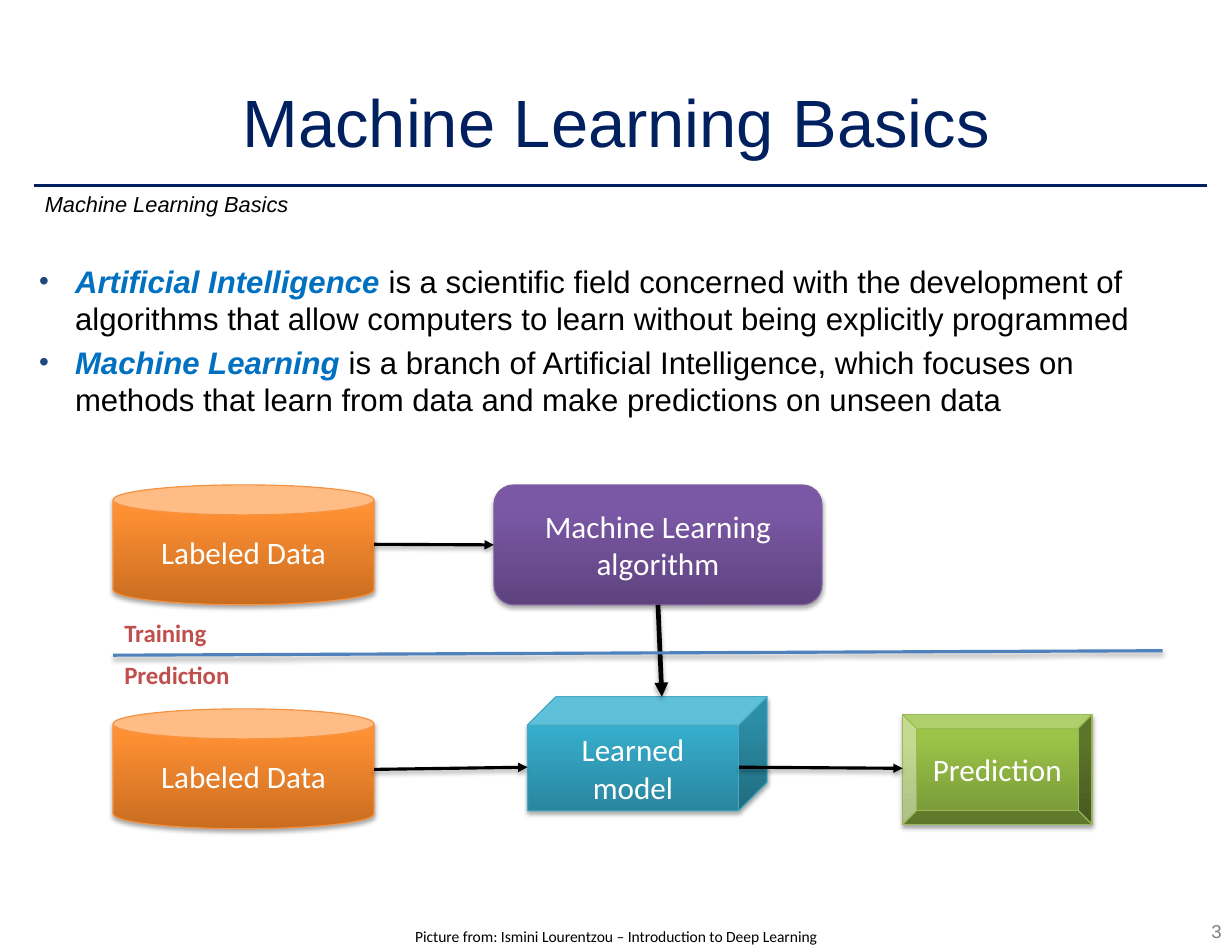
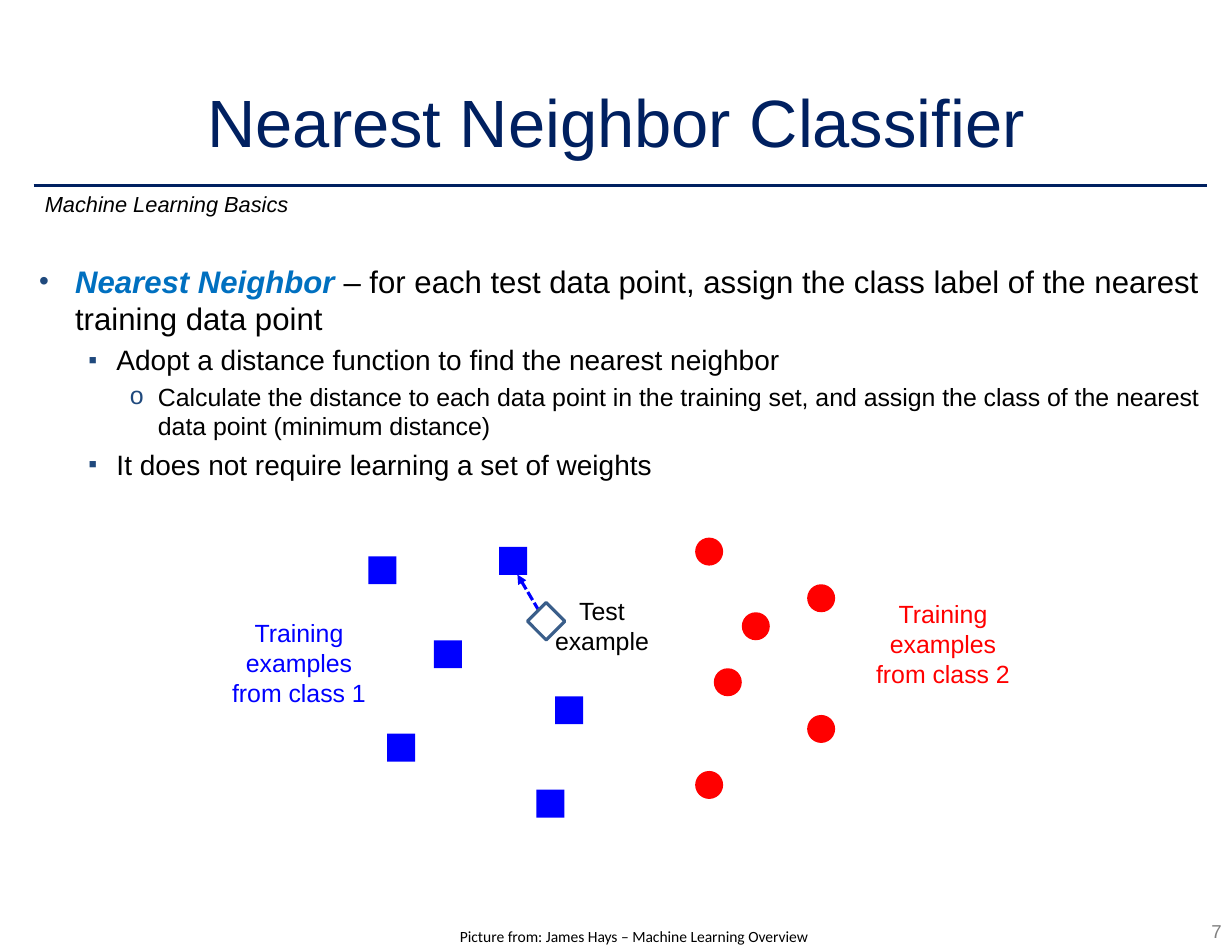
from lxml.etree import SubElement
from pptx import Presentation
from pptx.dml.color import RGBColor
from pptx.enum.dml import MSO_LINE
from pptx.enum.shapes import MSO_CONNECTOR, MSO_SHAPE
from pptx.enum.text import MSO_ANCHOR, MSO_AUTO_SIZE, PP_ALIGN
from pptx.oxml.ns import qn
from pptx.util import Inches, Pt

NAVY = RGBColor(0x00, 0x20, 0x60)
BULLET_BLUE = RGBColor(0x1F, 0x49, 0x7D)
TERM_BLUE = RGBColor(0x00, 0x70, 0xC0)
DIVIDER_BLUE = RGBColor(0x4F, 0x81, 0xBD)
OUTLINE_BLUE = RGBColor(0x3A, 0x5E, 0x8A)
CLASS_1_BLUE = RGBColor(0x00, 0x00, 0xFF)
CLASS_2_RED = RGBColor(0xFF, 0x00, 0x00)
PHASE_RED = RGBColor(0xC0, 0x50, 0x4D)
GRAY = RGBColor(0x80, 0x80, 0x80)
BLACK = RGBColor(0x00, 0x00, 0x00)
WHITE = RGBColor(0xFF, 0xFF, 0xFF)
# Dark end, light end and outline of the flow shapes
ORANGE = (RGBColor(0xC9, 0x6D, 0x20), RGBColor(0xFF, 0x90, 0x34), RGBColor(0xF6, 0x92, 0x40))
PURPLE = (RGBColor(0x5E, 0x43, 0x7E), RGBColor(0x7B, 0x58, 0xA6), RGBColor(0x7D, 0x60, 0xA0))
TEAL = (RGBColor(0x2A, 0x86, 0x9F), RGBColor(0x37, 0xB1, 0xD1), RGBColor(0x46, 0xAA, 0xC4))
GREEN = (RGBColor(0x76, 0x95, 0x37), RGBColor(0x9B, 0xC3, 0x48), RGBColor(0x98, 0xB9, 0x55))

WIDTH, HEIGHT = 11, 8.5
MARGIN = 0.3
RULE_RIGHT = 10.78
RULE_Y = 1.66
INSET = 0.05

# Per level: bullet, bullet size in thousandths of a percent, left, hanging, size, space before
LEVELS = [
    ("•", 90000, 0.32, 0.32, 20, 4),
    ("▪", 90000, 0.69, 0.25, 18, 4),
    ("o", 100000, 1.06, 0.25, 16, 3),
]

# Each bullet: level, emphasised term, remaining text
SLIDES = [
    {
        "title": "Machine Learning Basics",
        "number": "3",
        "credit": "Picture from: Ismini Lourentzou – Introduction to Deep Learning",
        "credit_left": 1.77,
        "bullets": [
            (0, "Artificial Intelligence ",
             "is a scientific field concerned with the development of algorithms "
             "that allow computers to learn without being explicitly programmed"),
            (0, "Machine Learning ",
             "is a branch of Artificial Intelligence, which focuses on methods "
             "that learn from data and make predictions on unseen data"),
        ],
    },
    {
        "title": "Nearest Neighbor Classifier",
        "number": "7",
        "credit": "Picture from: James Hays – Machine Learning Overview",
        "credit_left": 1.93,
        "bullets": [
            (0, "Nearest Neighbor ",
             "– for each test data point, assign the class label of the nearest "
             "training data point"),
            (1, "", "Adopt a distance function to find the nearest neighbor"),
            (2, "", "Calculate the distance to each data point in the training set, "
                    "and assign the class of the nearest data point (minimum distance)"),
            (1, "", "It does not require learning a set of weights"),
        ],
    },
]


def add_text(page, area, text, size, color, font="Arial", align=PP_ALIGN.LEFT,
             bold=False, italic=False, wrap=True):
    box = page.shapes.add_textbox(*map(Inches, area))
    frame = box.text_frame
    frame.word_wrap = wrap
    frame.margin_left = frame.margin_right = Inches(INSET)
    frame.margin_top = frame.margin_bottom = Inches(INSET)
    paragraph = frame.paragraphs[0]
    paragraph.alignment = align
    span = paragraph.add_run()
    span.text = text
    span.font.name, span.font.size = font, Pt(size)
    span.font.bold, span.font.italic = bold, italic
    span.font.color.rgb = color


def add_line(page, start, end, color, width, arrow=False):
    """Add a straight line without shadow, with an arrowhead at its end on request."""
    line = page.shapes.add_connector(MSO_CONNECTOR.STRAIGHT, *map(Inches, start + end))
    line.line.color.rgb = color
    line.line.width = Pt(width)
    properties = line._element.spPr
    if arrow:
        SubElement(properties.find(qn("a:ln")), qn("a:tailEnd"), type="triangle")
    SubElement(properties, qn("a:effectLst"))
    return line


deck = Presentation()
deck.slide_width, deck.slide_height = Inches(WIDTH), Inches(HEIGHT)

# Shared frame and bullets
pages = []
for content in SLIDES:
    page = deck.slides.add_slide(deck.slide_layouts[5])
    pages.append(page)
    add_line(page, (MARGIN, RULE_Y), (RULE_RIGHT, RULE_Y), NAVY, 2)

    title = page.shapes.title
    title.left, title.top = 0, Inches(0.5)
    title.width, title.height = Inches(WIDTH), Inches(1.15)
    frame = title.text_frame
    frame.auto_size = MSO_AUTO_SIZE.NONE
    frame.vertical_anchor = MSO_ANCHOR.MIDDLE
    frame.paragraphs[0].alignment = PP_ALIGN.CENTER
    span = frame.paragraphs[0].add_run()
    span.text = content["title"]
    span.font.name, span.font.size = "Arial", Pt(43)
    span.font.color.rgb = NAVY

    add_text(page, (0.35, 1.65, 6.67, 0.38), "Machine Learning Basics", 14, BLACK, italic=True)
    add_text(page, (10.76, 8.16, 0.2, 0.27), content["number"], 12, GRAY,
             align=PP_ALIGN.RIGHT, wrap=False)
    add_text(page, (content["credit_left"], 8.23, 7.46, 0.25), content["credit"], 10, BLACK,
             font="Calibri", align=PP_ALIGN.CENTER)

    body = page.shapes.add_textbox(Inches(MARGIN), Inches(2.29),
                                   Inches(RULE_RIGHT - MARGIN), Inches(2.2))
    frame = body.text_frame
    frame.word_wrap = True
    frame.margin_left = frame.margin_right = Inches(INSET)
    frame.margin_top = frame.margin_bottom = Inches(INSET)
    for index, (level, term, text) in enumerate(content["bullets"]):
        bullet, bullet_size, left, hanging, size, before = LEVELS[level]
        paragraph = frame.add_paragraph() if index else frame.paragraphs[0]
        paragraph.level = level
        properties = paragraph._p.get_or_add_pPr()
        properties.set("marL", str(Inches(left)))
        properties.set("indent", str(-Inches(hanging)))
        bullet_color = SubElement(properties, qn("a:buClr"))
        SubElement(bullet_color, qn("a:srgbClr"), val=str(BULLET_BLUE))
        SubElement(properties, qn("a:buSzPct"), val=str(bullet_size))
        SubElement(properties, qn("a:buFont"), typeface="Arial")
        SubElement(properties, qn("a:buChar"), char=bullet)
        paragraph.space_before = Pt(before if index else 0)
        for words, is_term in ((term, True), (text, False)):
            if words:
                span = paragraph.add_run()
                span.text = words
                span.font.name, span.font.size = "Arial", Pt(size)
                span.font.bold = span.font.italic = is_term
                span.font.color.rgb = TERM_BLUE if is_term else BLACK

basics, neighbor = pages

# Training and prediction flow
DATA_LEFT, DATA_WIDTH, STEP_HEIGHT = 1.01, 2.33, 1.07
DATA_RIGHT = DATA_LEFT + DATA_WIDTH
TRAINING_TOP, PREDICTION_TOP = 4.33, 6.33
FLOW = [
    ("Labeled Data", MSO_SHAPE.CAN,
     (DATA_LEFT, TRAINING_TOP, DATA_WIDTH, STEP_HEIGHT), ORANGE),
    ("Labeled Data", MSO_SHAPE.CAN,
     (DATA_LEFT, PREDICTION_TOP, DATA_WIDTH, STEP_HEIGHT), ORANGE),
    ("Machine Learning algorithm", MSO_SHAPE.ROUNDED_RECTANGLE,
     (4.41, TRAINING_TOP, 2.93, STEP_HEIGHT), PURPLE),
    ("Learned model", MSO_SHAPE.CUBE, (4.71, 6.22, 2.14, 1.02), TEAL),
    ("Prediction", MSO_SHAPE.BEVEL, (8.06, 6.38, 1.69, 0.98), GREEN),
]
steps = []
for label, kind, area, (dark, light, outline) in FLOW:
    step = basics.shapes.add_shape(kind, *map(Inches, area))
    steps.append(step)
    step.fill.gradient()
    step.fill.gradient_angle = 90
    for stop, color, position in zip(step.fill.gradient_stops, (dark, light), (0, 0.8)):
        stop.color.rgb = color
        stop.position = position
    step.line.color.rgb = outline
    step.line.width = Pt(0.75)
    step.shadow.inherit = False
    frame = step.text_frame
    frame.word_wrap = True
    frame.vertical_anchor = MSO_ANCHOR.MIDDLE
    frame.margin_left = frame.margin_right = Inches(0.11)
    frame.margin_top = frame.margin_bottom = Inches(INSET)
    frame.paragraphs[0].alignment = PP_ALIGN.CENTER
    span = frame.paragraphs[0].add_run()
    span.text = label
    span.font.name, span.font.size = "Calibri", Pt(20)
    span.font.color.rgb = WHITE

algorithm = steps[2]
to_algorithm = add_line(basics, (DATA_RIGHT, 4.86), (4.41, 4.86), BLACK, 2, arrow=True)
to_algorithm.end_connect(algorithm, 1)
to_model = add_line(basics, (DATA_RIGHT, 6.87), (4.71, 6.85), BLACK, 2, arrow=True)
to_prediction = add_line(basics, (6.6, 6.85), (8.06, 6.86), BLACK, 2, arrow=True)
learned = add_line(basics, (5.88, 5.39), (5.91, 6.22), BLACK, 3, arrow=True)
learned.begin_connect(algorithm, 2)
divider = add_line(basics, (DATA_LEFT, 5.85), (10.38, 5.81), DIVIDER_BLUE, 2)

for item in steps + [to_algorithm, to_model, to_prediction, learned, divider]:
    effects = item._element.spPr.find(qn("a:effectLst"))
    shadow = SubElement(effects, qn("a:outerShdw"), blurRad=str(Pt(3)), dist=str(Pt(1.8)),
                        dir="5400000", rotWithShape="0")
    shade = SubElement(shadow, qn("a:srgbClr"), val=str(BLACK))
    SubElement(shade, qn("a:alpha"), val="35000")

for phase, top in (("Training", 5.47), ("Prediction", 5.84)):
    add_text(basics, (1.06, top, 1.06, 0.33), phase, 16, PHASE_RED,
             font="Calibri", bold=True, wrap=False)

# Scatter of training examples, on a grid of twelfths of an inch
CELL = 1 / 12
SCATTER_LEFT, SCATTER_TOP = 3.29, 4.8
CLASSES = [
    (MSO_SHAPE.RECTANGLE, CLASS_1_BLUE,
     [(0, 2), (7, 11), (14, 1), (2, 21), (20, 17), (18, 27)]),
    (MSO_SHAPE.OVAL, CLASS_2_RED,
     [(47, 5), (37, 14), (47, 19), (35, 0), (40, 8), (35, 25)]),
]
for kind, color, cells in CLASSES:
    for column, row in cells:
        example = neighbor.shapes.add_shape(
            kind, Inches(SCATTER_LEFT + column * CELL), Inches(SCATTER_TOP + row * CELL),
            Inches(3 * CELL), Inches(3 * CELL))
        example.fill.solid()
        example.fill.fore_color.rgb = color
        example.line.fill.background()
        example.shadow.inherit = False

for text, area, color in (
    ("Test example", (4.84, 5.27, 1.07, 0.59), BLACK),
    ("Training examples from class 1", (2.01, 5.47, 1.32, 0.84), CLASS_1_BLUE),
    ("Training examples from class 2", (7.76, 5.3, 1.32, 0.84), CLASS_2_RED),
):
    add_text(neighbor, area, text, 16, color, align=PP_ALIGN.CENTER)

nearest = add_line(neighbor, (4.87, 5.55), (4.62, 5.13), CLASS_1_BLUE, 2, arrow=True)
nearest.line.dash_style = MSO_LINE.SQUARE_DOT

test_point = neighbor.shapes.add_shape(MSO_SHAPE.DIAMOND, Inches(4.71), Inches(5.38),
                                       Inches(4 * CELL), Inches(4 * CELL))
test_point.fill.solid()
test_point.fill.fore_color.rgb = WHITE
test_point.line.color.rgb = OUTLINE_BLUE
test_point.line.width = Pt(2)
test_point.shadow.inherit = False

deck.save("out.pptx")
